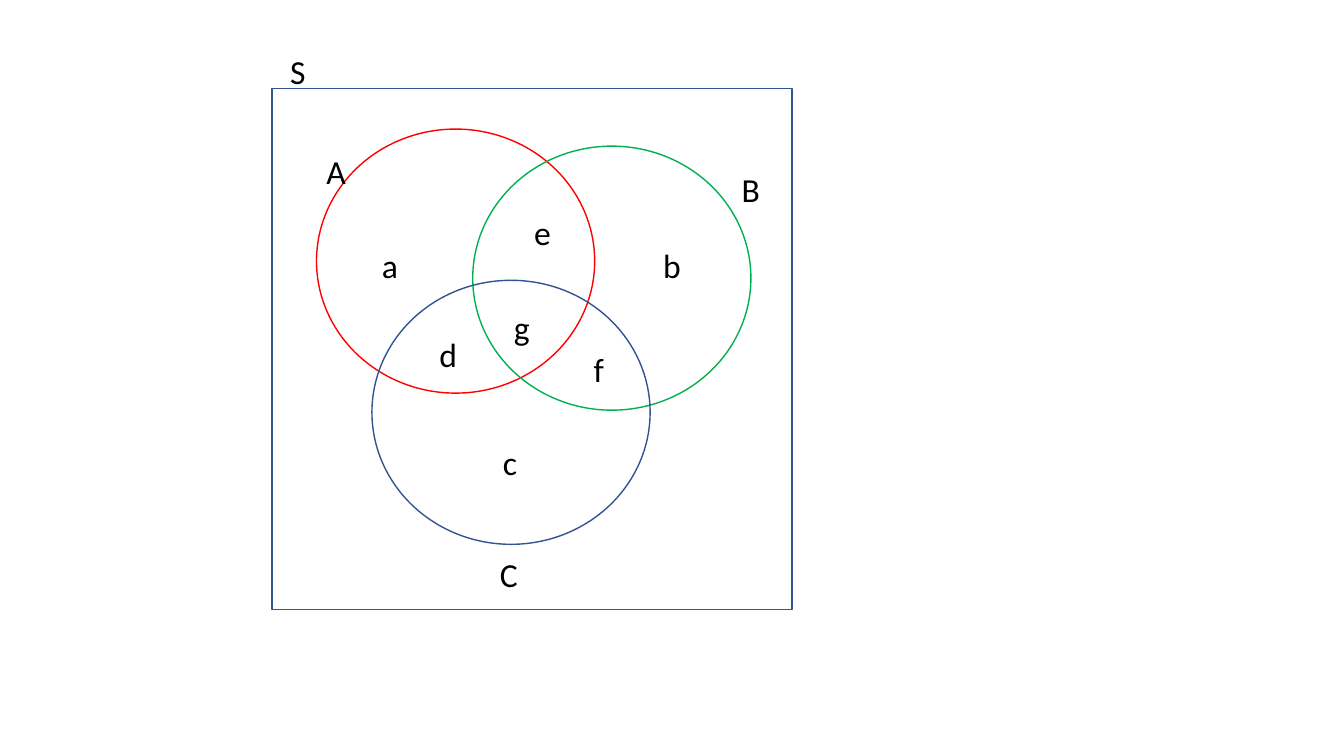
from dataclasses import dataclass

from pptx import Presentation
from pptx import util as u
from pptx.dml import color
from pptx.enum import shapes, text


@dataclass(frozen=True)
class Theme:
    font: str = "Calibri"
    label_size: float = 24
    line_width: float = 1
    ink: str = "000000"
    red: str = "FF0000"
    green: str = "00B050"
    blue: str = "325491"


class VennSlide:
    def __init__(self, deck, theme):
        self.theme = theme
        self.slide = deck.slides.add_slide(deck.slide_layouts[6])
        self.diagram = self.slide.shapes.add_group_shape()

    def outline(self, kind, left, top, width, height, hue):
        figure = self.diagram.shapes.add_shape(
            kind, u.Pt(left), u.Pt(top), u.Pt(width), u.Pt(height))
        figure.shadow.inherit = False
        figure.fill.background()
        figure.line.color.rgb = color.RGBColor.from_string(hue)
        figure.line.width = u.Pt(self.theme.line_width)

    def circle(self, left, top, hue):
        self.outline(shapes.MSO_SHAPE.OVAL, left, top, 198.7, 188.6, hue)

    def universe(self, left, top, width, height):
        self.outline(shapes.MSO_SHAPE.RECTANGLE, left, top, width, height,
                     self.theme.blue)

    def label(self, letter, left, top, width):
        frame = self.diagram.shapes.add_textbox(
            u.Pt(left), u.Pt(top), u.Pt(width), u.Pt(36.35)).text_frame
        frame.word_wrap = False
        frame.auto_size = text.MSO_AUTO_SIZE.SHAPE_TO_FIT_TEXT
        frame.text = letter
        font = frame.paragraphs[0].runs[0].font
        font.name = self.theme.font
        font.size = u.Pt(self.theme.label_size)
        font.color.rgb = color.RGBColor.from_string(self.theme.ink)


def main():
    deck = Presentation()
    deck.slide_width, deck.slide_height = u.Pt(960), u.Pt(540)
    theme = Theme()
    venn = VennSlide(deck, theme)

    set_circles = [
        (226.1, 92.2, theme.red),
        (337.7, 104.4, theme.green),
        (265.7, 200.2, theme.blue),
    ]
    for left, top, hue in set_circles:
        venn.circle(left, top, hue)

    set_and_region_labels = [
        ("A", 226.1, 104.4, 28.8),
        ("B", 522.7, 117.4, 27.4),
        ("C", 349.9, 392.4, 27.4),
        ("a", 265.7, 171.4, 25.9),
        ("b", 466.6, 171.4, 27.4),
        ("c", 352.1, 311.8, 24.5),
        ("d", 306.7, 234.7, 27.4),
        ("e", 374.4, 147.6, 26.6),
        ("f", 416.9, 245.5, 22.3),
        ("g", 360, 216, 25.9),
    ]
    for letter, left, top, width in set_and_region_labels:
        venn.label(letter, left, top, width)

    venn.universe(194.4, 63.4, 371.5, 372.2)
    venn.label("S", 200.2, 33.1, 25.9)

    deck.save("out.pptx")


if __name__ == "__main__":
    main()
